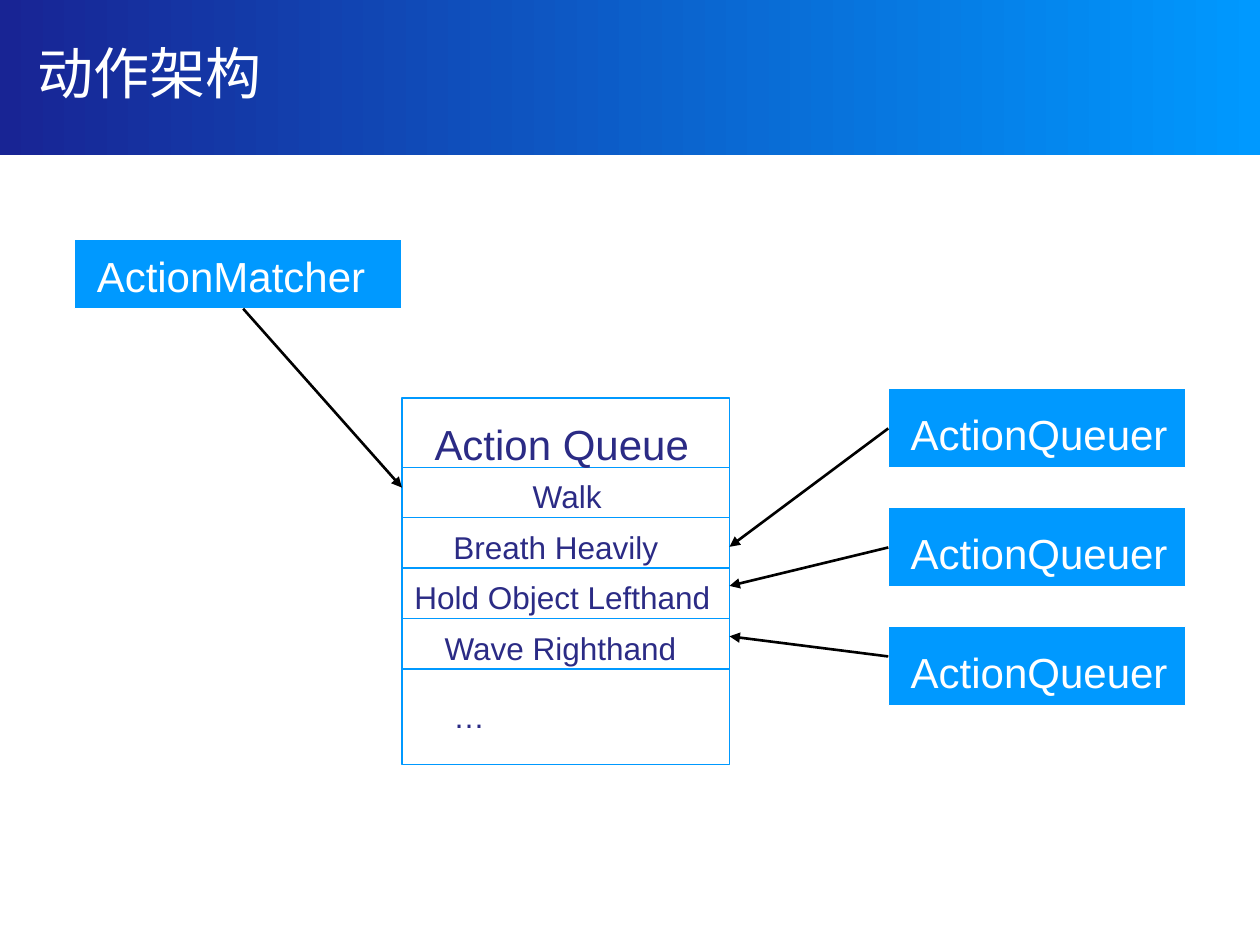
from dataclasses import dataclass

from lxml.etree import SubElement
from pptx import Presentation
from pptx.dml.color import RGBColor
from pptx.enum.shapes import MSO_CONNECTOR as Connector, MSO_SHAPE as Preset
from pptx.enum.text import MSO_ANCHOR as Anchor, PP_ALIGN as Align
from pptx.oxml.ns import qn
from pptx.util import Inches, Pt


@dataclass(frozen=True)
class Theme:
    blue: str = "0099FF"
    navy: str = "182494"
    ink: str = "2B2B85"
    white: str = "FFFFFF"
    black: str = "000000"
    title_size: int = 32
    box_size: int = 24
    row_size: int = 18
    font: str = "Arial"
    title_font: str = "DejaVu Sans"
    border: float = 0.75
    arrow: float = 1.5


@dataclass(frozen=True)
class Box:
    left: float
    top: float
    width: float
    height: float

    @property
    def right(self):
        return self.left + self.width

    @property
    def bottom(self):
        return self.top + self.height

    def inner(self, left, top, width, height):
        return Box(self.left + left, self.top + top, width, height)

    def inches(self):
        return [Inches(n) for n in (self.left, self.top, self.width, self.height)]


THEME = Theme()


def color(value):
    return RGBColor.from_string(value)


def add_rectangle(slide, box, fill=None, line=None):
    shape = slide.shapes.add_shape(Preset.RECTANGLE, *box.inches())
    shape.shadow.inherit = False
    if fill:
        shape.fill.solid()
        shape.fill.fore_color.rgb = color(fill)
    else:
        shape.fill.background()
    if line:
        shape.line.color.rgb = color(line)
        shape.line.width = Pt(THEME.border)
    else:
        shape.line.fill.background()
    return shape


def add_text(slide, box, text, size, ink, font=THEME.font, anchor=Anchor.TOP):
    frame = slide.shapes.add_textbox(*box.inches()).text_frame
    frame.word_wrap = True
    frame.vertical_anchor = anchor
    frame.margin_top = Inches(0.08 if anchor == Anchor.TOP else 0.05)
    paragraph = frame.paragraphs[0]
    paragraph.alignment = Align.LEFT
    run = paragraph.add_run()
    run.text = text
    run.font.size = Pt(size)
    run.font.name = font
    run.font.color.rgb = color(ink)
    SubElement(run.font._element, qn("a:ea"), typeface=font)


def add_arrow(slide, start, end):
    points = [Inches(n) for n in (*start, *end)]
    arrow = slide.shapes.add_connector(Connector.STRAIGHT, *points)
    arrow.line.color.rgb = color(THEME.black)
    arrow.line.width = Pt(THEME.arrow)
    SubElement(arrow.line._get_or_add_ln(), qn("a:tailEnd"), type="triangle")
    SubElement(arrow._element.spPr, qn("a:effectLst"))


def add_header(slide, box, title):
    band = add_rectangle(slide, box)
    band.fill.gradient()
    band.fill.gradient_angle = 0
    for stop, value in zip(band.fill.gradient_stops, (THEME.navy, THEME.blue)):
        stop.color.rgb = color(value)
    add_text(slide, box.inner(0.2, 0, 9.57, 1.15), title, THEME.title_size,
             THEME.white, THEME.title_font, Anchor.MIDDLE)


def add_class_box(slide, box, name, text_top):
    add_rectangle(slide, box, THEME.blue, THEME.white)
    label = box.inner(0.08, text_top, box.width, 0.5)
    add_text(slide, label, name, THEME.box_size, THEME.white)


def add_queue(slide, box, head, row, title, actions):
    # Outlines: body, its ruled rows and the heading
    add_rectangle(slide, box.inner(0, head, box.width, box.height - head),
                  line=THEME.blue)
    for index in range(1, len(actions)):
        add_rectangle(slide, box.inner(0, head + index * row, box.width, row),
                      line=THEME.blue)
    add_rectangle(slide, box.inner(0, 0, box.width, head), line=THEME.blue)

    # Heading, actions with their indents, and the open end
    add_text(slide, box.inner(0.16, 0.08, 2.28, 0.5), title,
             THEME.box_size, THEME.ink)
    for index, (action, indent) in enumerate(actions):
        cell = box.inner(indent, head + index * row, box.width - indent, row)
        add_text(slide, cell, action, THEME.row_size, THEME.ink)
    rest = box.inner(0.31, head + len(actions) * row + 0.14, 1.5, row)
    add_text(slide, rest, "…", THEME.row_size, THEME.ink)


def build_slide(slide):
    add_header(slide, Box(0, 0, 10, 1.23), "动作架构")

    # Action queue
    queue = Box(3.19, 3.16, 2.6, 2.91)
    head, row = 0.55, 0.4
    actions = [("Walk", 0.94), ("Breath Heavily", 0.31),
               ("Hold Object Lefthand", 0), ("Wave Righthand", 0.24)]
    add_queue(slide, queue, head, row, "Action Queue", actions)

    # Matcher, reading the first action
    matcher = Box(0.59, 1.9, 2.6, 0.55)
    add_class_box(slide, matcher, "ActionMatcher", 0.01)
    add_arrow(slide, (1.93, matcher.bottom),
              (queue.left, queue.top + head + row * 0.4))

    # Queuers, each feeding one of the other actions
    first, pitch = Box(7.05, 3.08, 2.36, 0.63), 0.945
    for index, (start, end) in enumerate([(0.32, 4.34), (0.32, 4.65), (0.24, 5.05)]):
        queuer = first.inner(0, index * pitch, first.width, first.height)
        add_class_box(slide, queuer, "ActionQueuer", 0.08)
        add_arrow(slide, (queuer.left, queuer.top + start), (queue.right, end))


def main():
    presentation = Presentation()
    presentation.slide_width = Inches(10)
    presentation.slide_height = Inches(7.5)
    build_slide(presentation.slides.add_slide(presentation.slide_layouts[6]))
    presentation.save("out.pptx")


if __name__ == "__main__":
    main()
